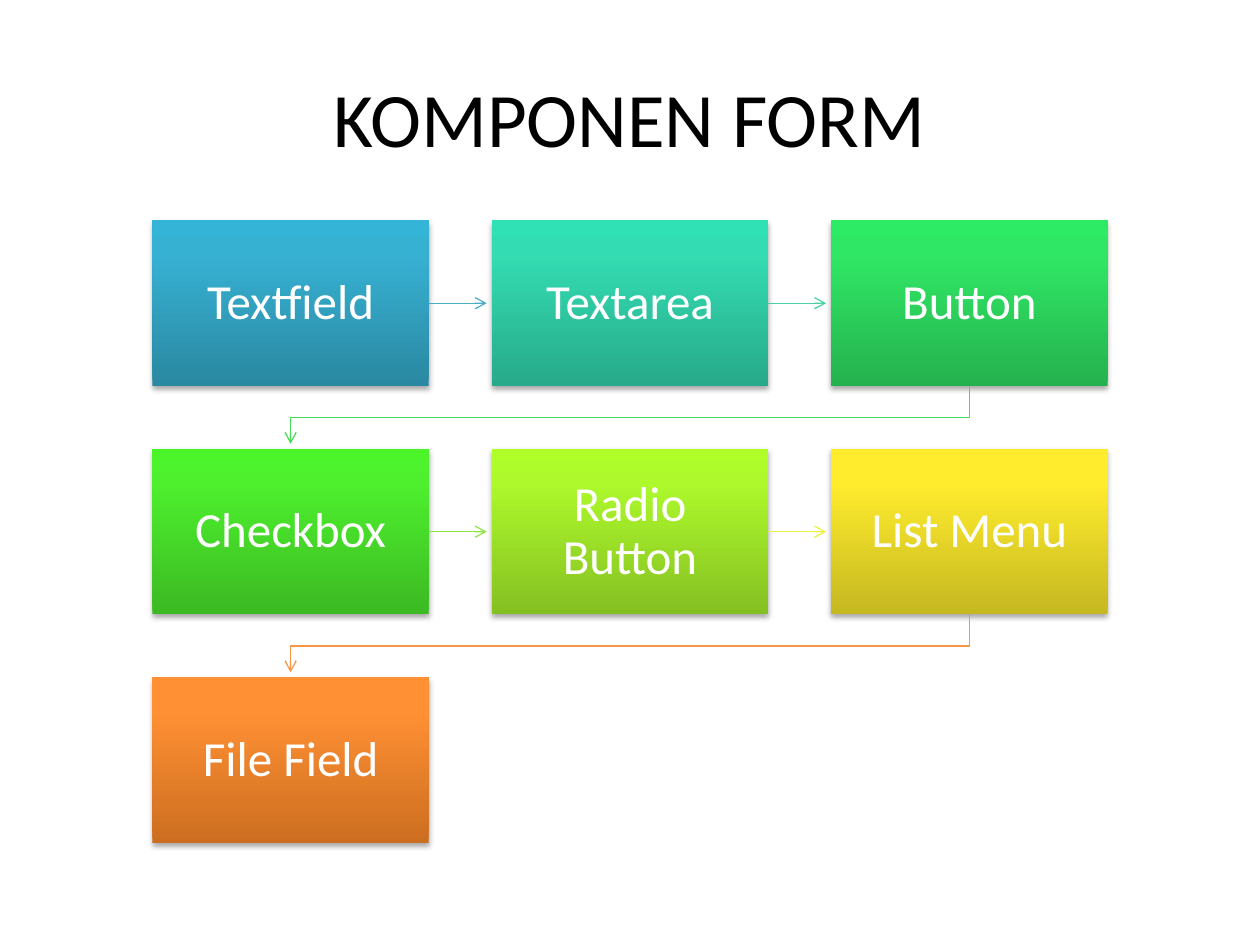
import copy

import lxml.etree
import pptx
import pptx.dml.color
import pptx.enum.shapes
import pptx.enum.text
import pptx.oxml.ns
import pptx.util

Inches = pptx.util.Inches
Pt = pptx.util.Pt
RGBColor = pptx.dml.color.RGBColor
qn = pptx.oxml.ns.qn

FONT = "Calibri"
BLACK = RGBColor(0x00, 0x00, 0x00)
WHITE = RGBColor(0xFF, 0xFF, 0xFF)
BLUE = RGBColor(0x4B, 0xAC, 0xC6)
TEAL = RGBColor(0x49, 0xD1, 0xA3)
GREEN = RGBColor(0x47, 0xDC, 0x57)
LIME = RGBColor(0x8D, 0xE6, 0x46)
YELLOW = RGBColor(0xEE, 0xEF, 0x46)
ORANGE = RGBColor(0xF7, 0x96, 0x46)

COMPONENTS = [
    ("Textfield", ("2A88A2", "37B1D2", "34B4D6")),
    ("Textarea", ("27AA89", "33DCB2", "30E1B5")),
    ("Button", ("25B24E", "30E765", "2DEB64")),
    ("Checkbox", ("3CB923", "4EF02E", "4CF52A")),
    ("Radio Button", ("85C022", "ADF92C", "AFFE28")),
    ("List Menu", ("C6B821", "FFEC2D", "FFED2E")),
    ("File Field", ("CC6E20", "FF9034", "FF9136")),
]
ARROW_COLORS = [BLUE, TEAL, GREEN, LIME, YELLOW, ORANGE]
COLUMNS = 3
ROWS = 3
GAP = Inches(0.5)
ARROW_CLEARANCE = Inches(0.04)


def style_text(frame, size, color):
    frame.word_wrap = True
    frame.vertical_anchor = pptx.enum.text.MSO_ANCHOR.MIDDLE
    paragraph = frame.paragraphs[0]
    paragraph.alignment = pptx.enum.text.PP_ALIGN.CENTER
    font = paragraph.runs[0].font
    font.name = FONT
    font.size = Pt(size)
    font.color.rgb = color
    return paragraph


def place_title(slide, left, top, width, height):
    title = slide.shapes.title
    title.left, title.top, title.width, title.height = left, top, width, height
    title.text_frame.text = "KOMPONEN FORM"
    style_text(title.text_frame, 44, BLACK)


def fill_gradient(fill, colors):
    fill.gradient()
    fill.gradient_angle = 90
    stop_list = fill._xPr.find(qn("a:gradFill")).find(qn("a:gsLst"))
    stop_list.insert(1, copy.deepcopy(stop_list[0]))
    for stop, position, color in zip(fill.gradient_stops, (0, 0.8, 1), colors):
        stop.position = position
        stop.color.rgb = RGBColor.from_string(color)


def cast_shadow(box):
    box.shadow.inherit = False
    effects = box._element.spPr.find(qn("a:effectLst"))
    shadow = lxml.etree.SubElement(
        effects, qn("a:outerShdw"), blurRad=str(Pt(3.1)), dist=str(Pt(1.8)),
        dir="5400000", rotWithShape="0")
    color = lxml.etree.SubElement(shadow, qn("a:srgbClr"), val="000000")
    lxml.etree.SubElement(color, qn("a:alpha"), val="35000")


def add_component(slide, label, colors, left, top, width, height):
    box = slide.shapes.add_shape(
        pptx.enum.shapes.MSO_SHAPE.RECTANGLE, left, top, width, height)
    fill_gradient(box.fill, colors)
    box.line.fill.background()
    cast_shadow(box)
    frame = box.text_frame
    frame.text = label
    frame.margin_left = frame.margin_right = Inches(0.22)
    frame.margin_top = frame.margin_bottom = Inches(0.22)
    style_text(frame, 28, WHITE).line_spacing = 0.9
    return box


def style_arrow(arrow, color):
    arrow.line.color.rgb = color
    arrow.line.width = Pt(0.75)
    lxml.etree.SubElement(arrow.line._get_or_add_ln(), qn("a:tailEnd"), type="arrow")


def add_row_arrow(slide, source, target, color):
    middle = source.top + source.height // 2
    arrow = slide.shapes.add_connector(
        pptx.enum.shapes.MSO_CONNECTOR.STRAIGHT,
        source.left + source.width, middle, target.left - ARROW_CLEARANCE, middle)
    arrow.begin_connect(source, 3)
    style_arrow(arrow, color)
    lxml.etree.SubElement(arrow._element.spPr, qn("a:effectLst"))


def add_return_arrow(slide, source, target, color):
    start_x = source.left + source.width // 2
    end_x = target.left + target.width // 2
    start_y = source.top + source.height
    turn_y = (start_y + target.top) // 2
    builder = slide.shapes.build_freeform(start_x, start_y)
    builder.add_line_segments(
        [(start_x, turn_y), (end_x, turn_y), (end_x, target.top - ARROW_CLEARANCE)],
        close=False)
    arrow = builder.convert_to_shape()
    arrow.fill.background()
    arrow.shadow.inherit = False
    style_arrow(arrow, color)


def place_flow(slide, left, top, width, height):
    box_width = (width - (COLUMNS - 1) * GAP) // COLUMNS
    box_height = (height - (ROWS - 1) * GAP) // ROWS
    boxes = []
    for index, (label, colors) in enumerate(COMPONENTS):
        row, column = divmod(index, COLUMNS)
        boxes.append(add_component(
            slide, label, colors,
            left + column * (box_width + GAP), top + row * (box_height + GAP),
            box_width, box_height))
    for source, target, color in zip(boxes, boxes[1:], ARROW_COLORS):
        same_row = source.top == target.top
        add_arrow = add_row_arrow if same_row else add_return_arrow
        add_arrow(slide, source, target, color)


def main():
    deck = pptx.Presentation()
    deck.slide_width, deck.slide_height = Inches(10), Inches(7.5)
    slide = deck.slides.add_slide(deck.slide_layouts[5])
    place_title(slide, Inches(0.5), Inches(0.3), Inches(9), Inches(1.25))
    place_flow(slide, Inches(1.21), Inches(1.75), Inches(7.58), Inches(4.94))
    deck.save("out.pptx")


if __name__ == "__main__":
    main()
